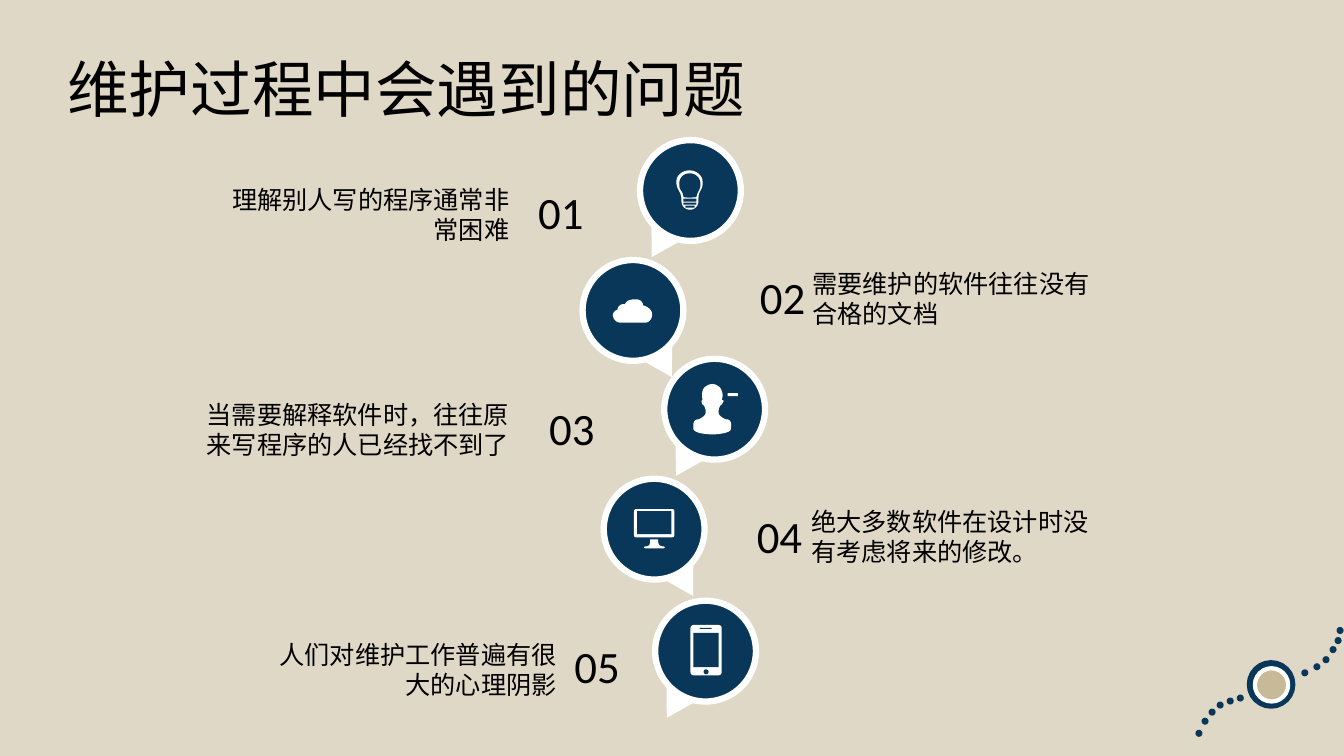
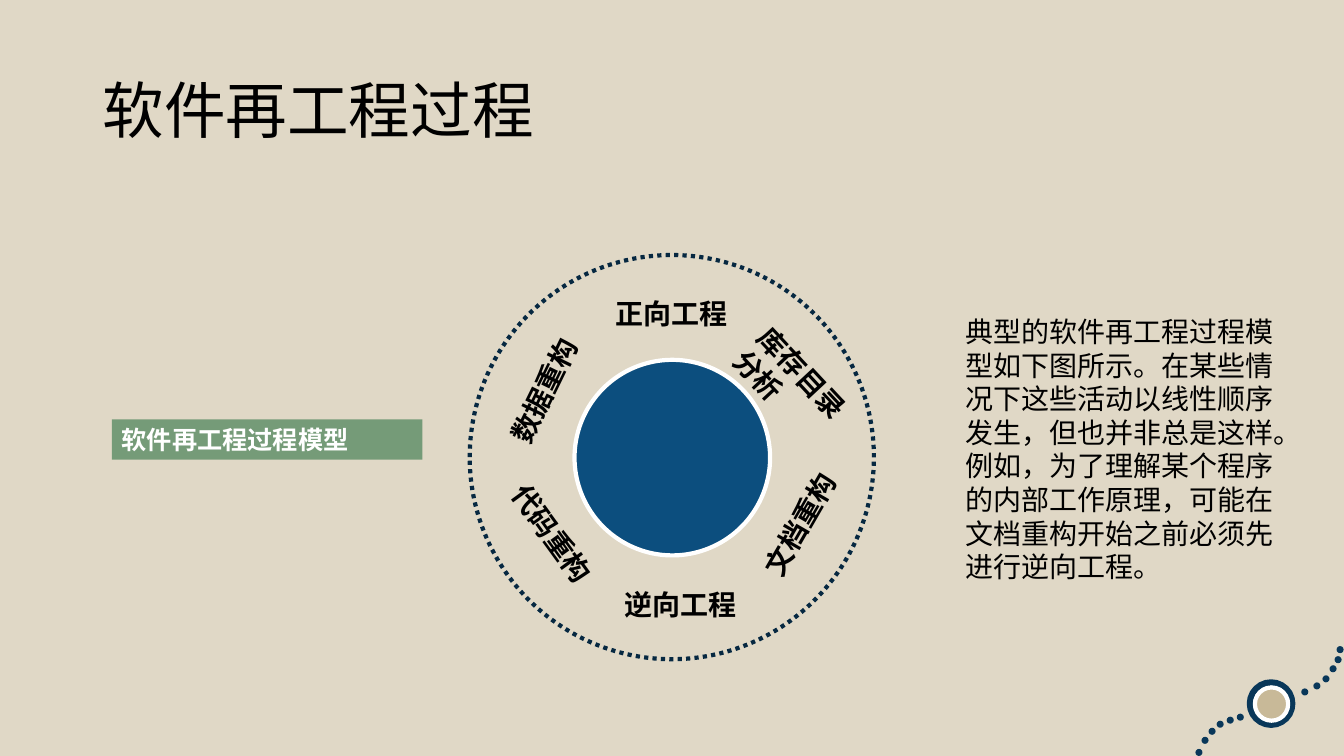
from pptx import Presentation
from pptx.dml.color import RGBColor
from pptx.enum.dml import MSO_LINE
from pptx.enum.shapes import MSO_SHAPE
from pptx.enum.text import MSO_ANCHOR, PP_ALIGN
from pptx.util import Emu, Pt

PX = 9144  # 100 px to the inch
SAND, NAVY, WHITE, BLACK = "E0D8C6", "093759", "FFFFFF", "000000"
TAN, BLUE, DARK, GREEN = "C8B998", "0C4E7E", "062841", "759B78"
OVAL, RECT = MSO_SHAPE.OVAL, MSO_SHAPE.RECTANGLE
ROUND, TAIL = MSO_SHAPE.ROUNDED_RECTANGLE, MSO_SHAPE.ISOSCELES_TRIANGLE

# Top left corners of the dots, relative to the corner badge
DOTS = [(-54, 66), (-48, 54), (-41, 45), (-33, 38), (-23, 34), (-13, 31),
        (51, 6), (63, 0), (72, -7), (79, -17), (84, -26), (86, -36)]

# Closed outlines: a start point, then three points for each cubic curve
BULB = [(684, 169), (691, 169), (697, 174), (697, 180), (698, 188), (693, 189),
        (693, 196), (693, 200), (693, 203), (691, 205), (688, 209), (681, 209),
        (678, 205), (676, 203), (676, 200), (676, 196), (675, 189), (671, 188),
        (671, 180), (671, 174), (677, 169), (684, 169)]
GLASS = [(684, 196), (687, 196), (691, 196), (691, 195), (692, 190), (695, 188),
         (695, 183), (695, 176), (690, 172), (684, 172), (678, 172), (673, 177),
         (674, 184), (674, 189), (678, 190), (678, 195), (678, 196), (681, 196),
         (684, 196)]
CLOUD = [(613, 307), (613, 307), (609, 308), (608, 312), (608, 316), (611, 320),
         (615, 320), (618, 320), (639, 320), (641, 320), (643, 320), (647, 317),
         (647, 312), (647, 305), (638, 303), (638, 303), (638, 303), (638, 296),
         (629, 297), (621, 297), (620, 302), (620, 302), (620, 302), (617, 301),
         (615, 303), (612, 305), (613, 307), (613, 307)]
PERSON = [(720, 416), (717, 415), (713, 412), (713, 410), (713, 407), (713, 407),
          (713, 407), (713, 406), (714, 403), (715, 402), (717, 401), (717, 399),
          (718, 398), (718, 397), (716, 397), (716, 397), (716, 397), (718, 392),
          (716, 388), (715, 383), (709, 381), (707, 381), (704, 381), (698, 383),
          (697, 388), (696, 392), (697, 397), (697, 397), (697, 397), (696, 397),
          (696, 398), (696, 400), (697, 402), (698, 402), (699, 403), (700, 406),
          (700, 407), (700, 410), (700, 410), (700, 410), (700, 412), (696, 415),
          (693, 416), (689, 416), (687, 419), (688, 426), (689, 429), (697, 431),
          (707, 431), (715, 431), (725, 429), (725, 426), (726, 419), (725, 416),
          (720, 416)]
STAND = [(645, 535), (648, 535), (650, 535), (653, 535), (653, 539), (653, 542),
         (658, 542), (660, 542), (660, 544), (658, 544), (652, 544), (646, 544),
         (641, 544), (638, 544), (638, 542), (641, 542), (645, 542), (645, 539),
         (645, 535)]

# Bubble corner, number corner, text box (left, top, width), text
ISSUES = [
    ((635, 139), (524, 178), (197, 178, 318), "理解别人写的程序通常非常困难"),
    ((578, 258), (744, 263), (796, 261, 318), "需要维护的软件往往没有合格的文档"),
    ((659, 356), (535, 393), (189, 391, 326),
     "当需要解释软件时，往往原来写程序的人已经找不到了"),
    ((599, 475), (741, 500), (795, 497, 319),
     "绝大多数软件在设计时没有考虑将来的修改。"),
    ((650, 596), (560, 629), (243, 629, 319), "人们对维护工作普遍有很大的心理阴影"),
]

# Box and turn of each label in the ring
STEPS = [
    ("正向工程", (601, 289, 132, 44), 0),
    ("库存目录分析", (718, 343, 132, 77), 47),
    ("文档重构", (728, 497, 133, 44), 300),
    ("逆向工程", (610, 578, 132, 44), 0),
    ("数据重构", (474, 365, 132, 44), 296),
    ("代码重构", (480, 512, 142, 44), 54),
]
MODEL = ("典型的软件再工程过程模型如下图所示。在某些情况下这些活动以线性顺序发生，"
         "但也并非总是这样。例如，为了理解某个程序的内部工作原理，"
         "可能在文档重构开始之前必须先进行逆向工程。")


def rgb(hue):
    return RGBColor.from_string(hue)


def bezier(points, steps=8):
    """Sample a chain of cubic curves."""
    for i in range(0, len(points) - 1, 3):
        quad = points[i:i + 4]
        for k in range(1, steps + 1):
            t = k / steps
            u = 1 - t
            parts = (u ** 3, 3 * u * u * t, 3 * u * t * t, t ** 3)
            yield tuple(round(PX * sum(w * p[axis] for w, p in zip(parts, quad)))
                        for axis in (0, 1))


class Deck:
    def __init__(self):
        self.show = Presentation()
        self.show.slide_width = Emu(12192000)
        self.show.slide_height = Emu(750 * PX)

    def page(self, title, box, drop):
        """Start a slide; drop is the top of its corner badge."""
        self.slide = self.show.slides.add_slide(self.show.slide_layouts[6])
        fill = self.slide.background.fill
        fill.solid()
        fill.fore_color.rgb = rgb(SAND)
        for x, y in DOTS:
            self.shape(OVAL, (1240 + x, drop + y, 7, 7), NAVY)
        self.shape(OVAL, (1240, drop, 42, 42), WHITE, NAVY, 4.5)
        self.shape(OVAL, (1245, drop + 5, 33, 33), TAN, WHITE, 3)
        frame = self.text(title, box, 44).text_frame
        frame.vertical_anchor = MSO_ANCHOR.MIDDLE
        frame.paragraphs[0].line_spacing = 0.9

    def paint(self, shape, fill, line=None, width=1):
        shape.shadow.inherit = False
        if fill:
            shape.fill.solid()
            shape.fill.fore_color.rgb = rgb(fill)
        else:
            shape.fill.background()
        if line:
            shape.line.color.rgb = rgb(line)
            shape.line.width = Pt(width)
        else:
            shape.line.fill.background()
        return shape

    def shape(self, kind, box, fill, line=None, width=1):
        shape = self.slide.shapes.add_shape(kind, *(Emu(v * PX) for v in box))
        return self.paint(shape, fill, line, width)

    def curve(self, points, fill):
        start = [v * PX for v in points[0]]
        pen = self.slide.shapes.build_freeform(*start, scale=1.0)
        pen.add_line_segments(list(bezier(points)), close=True)
        return self.paint(pen.convert_to_shape(), fill)

    def label(self, shape, words, size, hue=BLACK, bold=False,
              align=PP_ALIGN.LEFT, face="Calibri"):
        """Put styled text into a shape."""
        frame = shape.text_frame
        frame.word_wrap = True
        frame.vertical_anchor = MSO_ANCHOR.TOP
        para = frame.paragraphs[0]
        para.text = words
        para.alignment = align
        font = para.font
        font.name, font.size, font.bold = face, Pt(size), bold
        font.color.rgb = rgb(hue)
        return shape

    def text(self, words, box, size, **style):
        shape = self.slide.shapes.add_textbox(*(Emu(v * PX) for v in box))
        return self.label(shape, words, size, **style)

    def bubble(self, x, y, left):
        """Draw a round speech bubble with its tail to the left or right."""
        self.shape(OVAL, (x, y, 100, 100), NAVY, WHITE, 4.5)
        tail = self.shape(TAIL, (x + (2 if left else 65), y + 90, 33, 28), WHITE)
        tail.rotation = 210 if left else 150

    def panel(self, box, curb):
        """Draw a white panel; curb is the corner rounding."""
        self.shape(ROUND, box, WHITE).adjustments[0] = curb

    def icons(self):
        self.curve(BULB, WHITE)
        self.curve(GLASS, NAVY)
        for box in ((678, 197, 13, 3), (678, 201, 13, 2), (680, 204, 9, 2)):
            self.shape(ROUND, box, NAVY)
        self.curve(CLOUD, WHITE)
        self.curve(PERSON, WHITE)
        self.shape(RECT, (722, 390, 10, 3), WHITE)
        self.panel((629, 505, 40, 28), 0.07)
        self.shape(RECT, (632, 507, 34, 23), NAVY)
        self.curve(STAND, WHITE)
        self.panel((685, 620, 31, 50), 0.1)
        self.shape(RECT, (688, 628, 25, 34), NAVY)
        self.shape(ROUND, (694, 623, 12, 1), NAVY)
        self.shape(OVAL, (698, 664, 5, 5), NAVY)


def issues(deck):
    deck.page("维护过程中会遇到的问题", (57, 49, 703, 85), 658)
    for i, (spot, mark, note, words) in enumerate(ISSUES):
        left = i % 2 == 0
        deck.bubble(*spot, left)
        deck.text(f"{i + 1:02}", (*mark, 88, 64), 32)
        deck.text(words, (*note, 71), 18,
                  align=PP_ALIGN.RIGHT if left else PP_ALIGN.LEFT)
    deck.icons()


def process(deck):
    deck.page("软件再工程过程", (92, 40, 1150, 145), 677)
    deck.shape(OVAL, (570, 357, 194, 194), BLUE, WHITE, 3)
    ring = deck.shape(OVAL, (466, 253, 401, 401), None, DARK, 3)
    ring.line.dash_style = MSO_LINE.ROUND_DOT
    deck.text(MODEL, (948, 307, 330, 279), 20)
    tag = deck.shape(RECT, (111, 416, 308, 40), GREEN)
    deck.label(tag, "软件再工程过程模型", 18, hue=WHITE, bold=True)
    for words, box, turn in STEPS:
        deck.text(words, box, 20, bold=True, face="Arial").rotation = turn


def main():
    deck = Deck()
    issues(deck)
    process(deck)
    deck.show.save("out.pptx")


if __name__ == "__main__":
    main()
